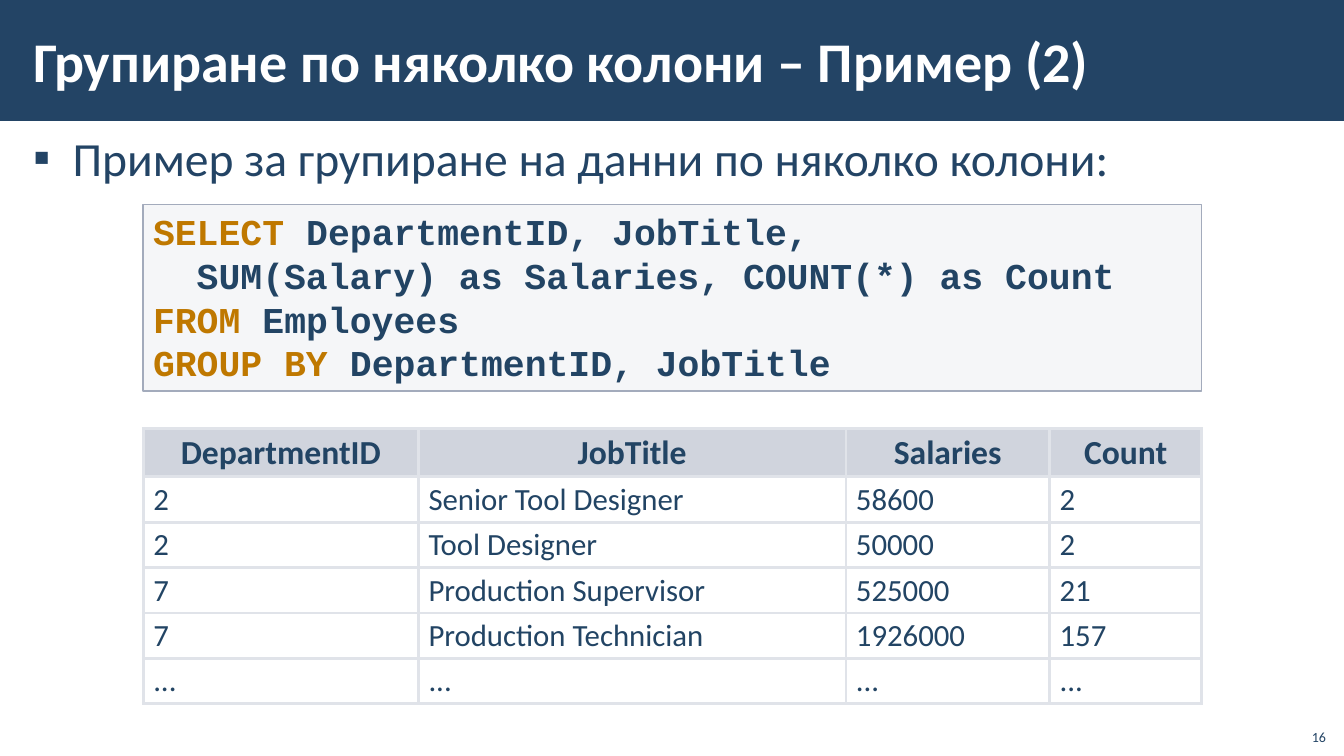
from dataclasses import dataclass

from lxml import etree
from pptx import Presentation
from pptx import util as u
from pptx.dml.color import RGBColor
from pptx.enum import shapes, text
from pptx.oxml import ns


@dataclass(frozen=True)
class Theme:
    navy: str = "234465"
    ink: str = "224464"
    white: str = "FFFFFF"
    keyword: str = "BF7800"
    code_fill: str = "C2C7D2"
    slate: str = "A3ABBC"
    grid: str = "E0E3E9"
    sans: str = "Calibri"
    mono: str = "Courier New"
    title_size: int = 40
    body_size: int = 34
    code_size: int = 26
    header_size: int = 24
    cell_size: int = 22
    number_size: int = 10
    border_width: float = 2.25


THEME = Theme()
QUERY = [
    [("SELECT ", THEME.keyword), ("DepartmentID, JobTitle,", THEME.ink)],
    [("  SUM(Salary) as Salaries, COUNT(*) as Count", THEME.ink)],
    [("FROM ", THEME.keyword), ("Employees", THEME.ink)],
    [("GROUP BY ", THEME.keyword), ("DepartmentID, JobTitle", THEME.ink)],
]
RESULT = [
    ("DepartmentID", "JobTitle", "Salaries", "Count"),
    ("2", "Senior Tool Designer", "58600", "2"),
    ("2", "Tool Designer", "50000", "2"),
    ("7", "Production Supervisor", "525000", "21"),
    ("7", "Production Technician", "1926000", "157"),
    ("...", "...", "...", "..."),
]
COLUMN_WIDTHS = (2.73, 4.24, 2.02, 1.51)
HEADER_HEIGHT, ROW_HEIGHT = 0.47, 0.45


def box(left, top, width, height):
    return [u.Inches(length) for length in (left, top, width, height)]


def add_xml(parent, tag, **attributes):
    return etree.SubElement(parent, ns.qn(tag), attributes)


def set_fill(fill, color, opacity=100):
    fill.solid()
    fill.fore_color.rgb = RGBColor.from_string(color)
    if opacity < 100:
        tint = fill._xPr.find(f"{ns.qn('a:solidFill')}/{ns.qn('a:srgbClr')}")
        add_xml(tint, "a:alpha", val=str(opacity * 1000))


def write(paragraph, content, *, size, color=THEME.navy, font=THEME.sans, bold=False,
          align=text.PP_ALIGN.LEFT, spacing=None):
    run = paragraph.add_run()
    run.text = content
    run.font.name = font
    run.font.size = u.Pt(size)
    run.font.bold = bold
    run.font.color.rgb = RGBColor.from_string(color)
    paragraph.alignment = align
    paragraph.line_spacing = spacing


def set_frame(frame, anchor=text.MSO_ANCHOR.TOP, side=0.1, edge=0.05):
    frame.word_wrap = True
    frame.vertical_anchor = anchor
    frame.margin_left = frame.margin_right = u.Inches(side)
    frame.margin_top = frame.margin_bottom = u.Inches(edge)


def add_label(slide, place, content, *, anchor=text.MSO_ANCHOR.TOP, side=0.1,
              edge=0.05, **style):
    frame = slide.shapes.add_textbox(*box(*place)).text_frame
    set_frame(frame, anchor, side, edge)
    write(frame.paragraphs[0], content, **style)
    return frame.paragraphs[0]


def add_bullet(paragraph, indent):
    properties = paragraph._p.get_or_add_pPr()
    properties.set("marL", str(u.Inches(indent)))
    properties.set("indent", str(-u.Inches(indent)))
    add_xml(properties, "a:buFont", typeface=THEME.sans)
    add_xml(properties, "a:buChar", char="▪")


def add_panel(slide, place, color, opacity=100, outline=None):
    panel = slide.shapes.add_shape(shapes.MSO_SHAPE.RECTANGLE, *box(*place))
    panel.shadow.inherit = False
    set_fill(panel.fill, color, opacity)
    if outline:
        set_fill(panel.line.fill, outline)
        panel.line.width = u.Pt(1)
    else:
        panel.line.fill.background()
    return panel


def add_code(slide, place, lines):
    panel = add_panel(slide, place, THEME.code_fill, 15, THEME.slate)
    frame = panel.text_frame
    set_frame(frame)
    for index, line in enumerate(lines):
        paragraph = frame.add_paragraph() if index else frame.paragraphs[0]
        for content, color in line:
            write(paragraph, content, size=THEME.code_size, color=color,
                  font=THEME.mono, bold=True)


def add_borders(cell):
    properties = cell._tc.get_or_add_tcPr()
    for side in "LRTB":
        line = add_xml(properties, f"a:ln{side}", w=str(u.Pt(THEME.border_width)))
        add_xml(add_xml(line, "a:solidFill"), "a:srgbClr", val=THEME.grid)


def add_result_table(slide, left, top):
    height = HEADER_HEIGHT + ROW_HEIGHT * (len(RESULT) - 1)
    place = box(left, top, sum(COLUMN_WIDTHS), height)
    table = slide.shapes.add_table(len(RESULT), len(COLUMN_WIDTHS), *place).table
    table.first_row = table.horz_banding = False
    for column, width in zip(table.columns, COLUMN_WIDTHS):
        column.width = u.Inches(width)
    for index, values in enumerate(RESULT):
        header = index == 0
        table.rows[index].height = u.Inches(HEADER_HEIGHT if header else ROW_HEIGHT)
        for cell, value in zip(table.rows[index].cells, values):
            add_borders(cell)
            if header:
                set_fill(cell.fill, THEME.slate, 50)
            else:
                cell.fill.background()
            cell.vertical_anchor = text.MSO_ANCHOR.MIDDLE
            write(cell.text_frame.paragraphs[0], value, color=THEME.ink, bold=header,
                  size=THEME.header_size if header else THEME.cell_size,
                  align=text.PP_ALIGN.CENTER if header else text.PP_ALIGN.LEFT,
                  spacing=0.95)


def main():
    deck = Presentation()
    deck.slide_width, deck.slide_height = u.Inches(13.33), u.Inches(7.5)
    slide = deck.slides.add_slide(deck.slide_layouts[6])

    add_panel(slide, (0, 0, 13.33, 1.2), THEME.navy)
    add_label(slide, (0.21, 0.11, 11.23, 0.97), "Групиране по няколко колони – Пример (2)",
              anchor=text.MSO_ANCHOR.MIDDLE, side=0.12, edge=0.04,
              size=THEME.title_size, color=THEME.white, bold=True)
    intro = add_label(slide, (0.21, 1.24, 12.91, 0.75),
                      "Пример за групиране на данни по няколко колони:",
                      side=0.12, edge=0.04, size=THEME.body_size)
    add_bullet(intro, 0.39)
    add_code(slide, (1.42, 2.03, 10.5, 1.85), QUERY)
    add_result_table(slide, 1.42, 4.25)
    add_label(slide, (12.85, 7.12, 0.4, 0.32), "16", anchor=text.MSO_ANCHOR.BOTTOM,
              size=THEME.number_size, align=text.PP_ALIGN.RIGHT)
    deck.save("out.pptx")


if __name__ == "__main__":
    main()
